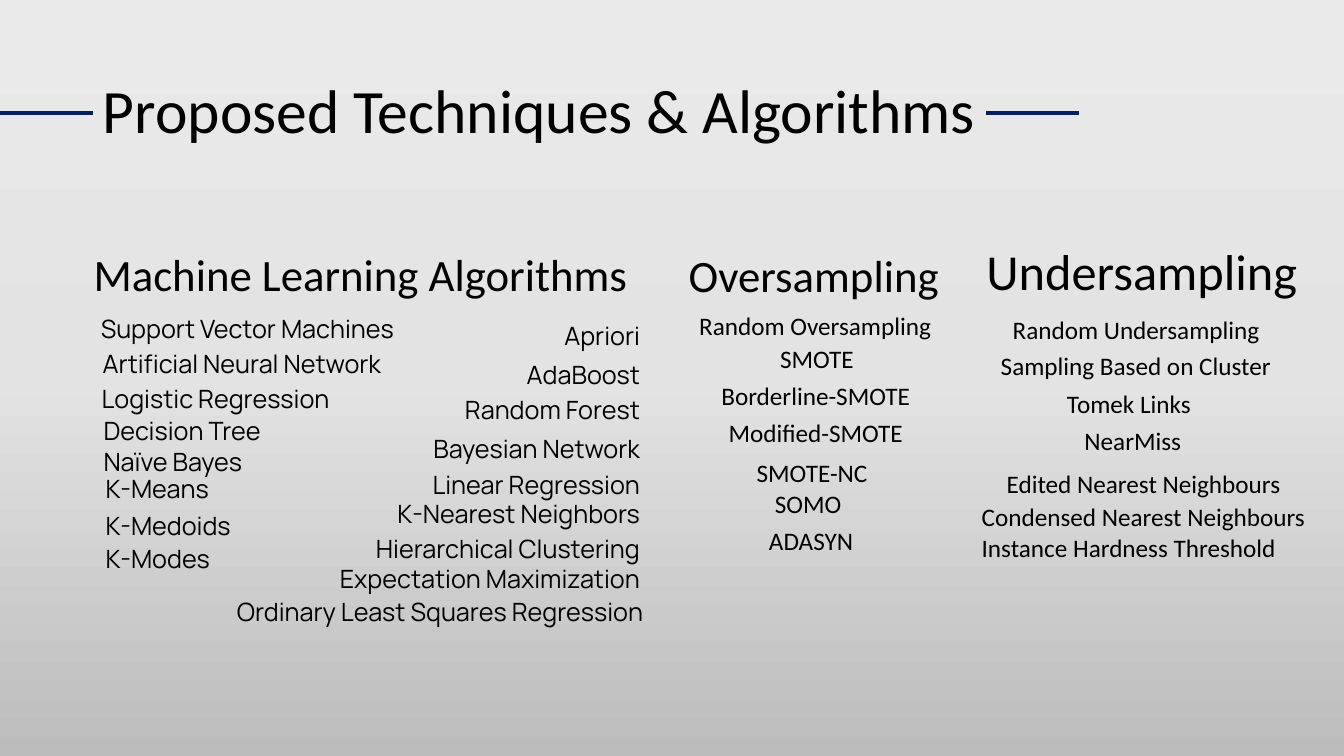
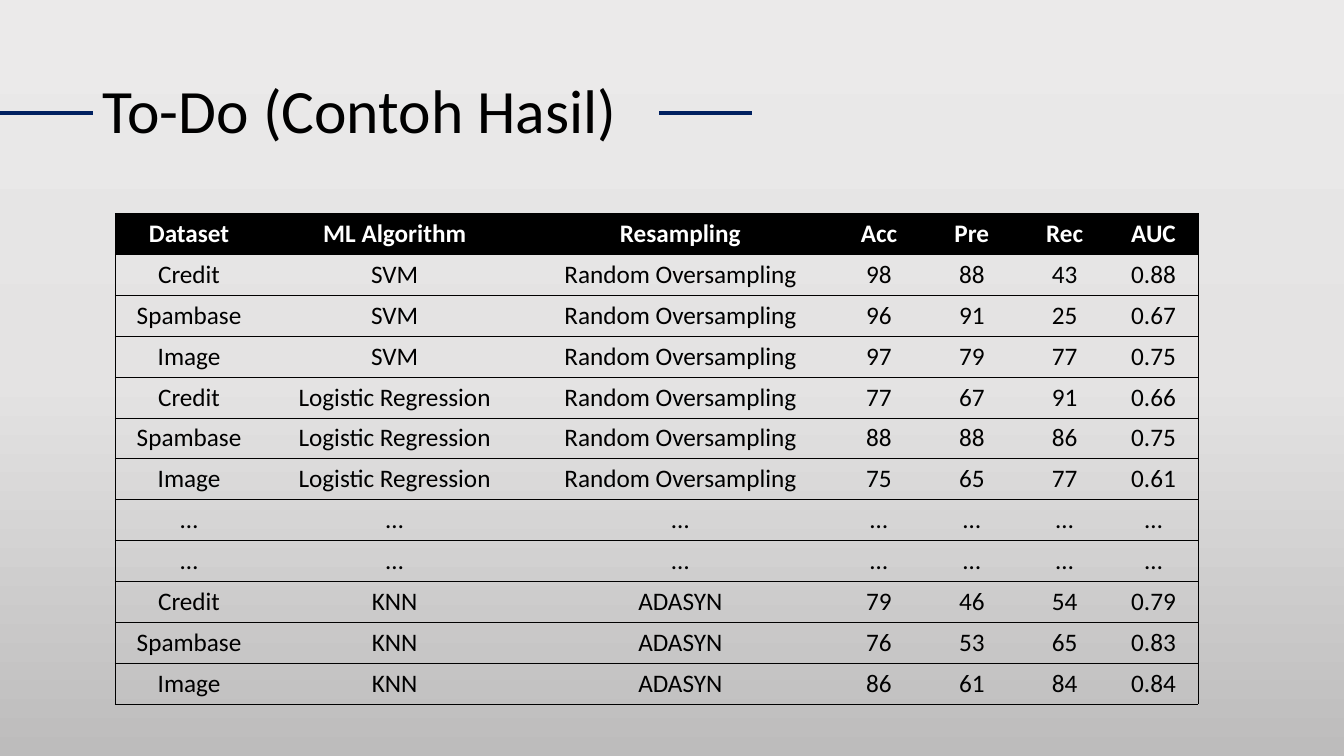
from copy import deepcopy
from dataclasses import dataclass

from lxml import etree
from pptx import Presentation
from pptx.dml.color import RGBColor
from pptx.enum.shapes import MSO_CONNECTOR
from pptx.enum.text import MSO_ANCHOR, MSO_AUTO_SIZE, PP_ALIGN
from pptx.oxml.ns import qn
from pptx.util import Cm, Pt

LEFT, CENTER, RIGHT = PP_ALIGN.LEFT, PP_ALIGN.CENTER, PP_ALIGN.RIGHT
MIDDLE = MSO_ANCHOR.MIDDLE
NO_FIT, GROW = MSO_AUTO_SIZE.NONE, MSO_AUTO_SIZE.SHAPE_TO_FIT_TEXT
STRAIGHT = MSO_CONNECTOR.STRAIGHT


@dataclass(frozen=True)
class Theme:
    text: str = "000000"
    header_text: str = "FFFFFF"
    header_fill: str = "000000"
    border: str = "000000"
    accent: str = "002060"
    background: tuple = ((0, "EBEAEA"), (0.5, "E4E3E3"), (1, "BDBCBC"))
    font: str = "Calibri"
    list_font: str = "Manrope"
    title_size: int = 44
    body_size: int = 18
    accent_width: float = 3
    border_width: float = 0.5


THEME = Theme()

# All lengths below are centimetres.
TITLE_LEFT, TITLE_TOP, TITLE_HEIGHT = 2.34, 1.02, 3.68
DASH_Y, DASH_LENGTH = 2.84, 2.34
ITEM_HEIGHT = 1.02

TECHNIQUES_TITLE = {"text": "Proposed Techniques & Algorithms", "width": 24.54, "dash": 24.84}
RESULTS_TITLE = {"text": "To-Do (Contoh Hasil)", "width": 14.6, "dash": 16.61}

# text, left, top, width, height, size, alignment
HEADINGS = [
    ("Machine Learning Algorithms", 2.03, 6.1, 14.12, 1.63, 32, CENTER),
    ("Oversampling", 17.07, 6.12, 6.88, 1.63, 32, CENTER),
    ("Undersampling", 24.61, 5.92, 8.43, 1.8, 36, LEFT),
]

# Each item: text, left, top, width
ITEM_GROUPS = [
    {"font": THEME.list_font, "align": LEFT, "wrap": True, "items": [
        ("Support Vector Machines", 2.29, 7.77, 11.68),
        ("Artificial Neural Network", 2.34, 8.66, 11.68),
        ("Logistic Regression", 2.31, 9.53, 11.68),
        ("Decision Tree", 2.36, 10.34, 11.68),
        ("Naïve Bayes", 2.36, 11.13, 11.68),
        ("K-Means", 2.41, 11.81, 11.68),
        ("K-Medoids", 2.41, 12.73, 11.68),
        ("K-Modes", 2.41, 13.56, 11.68),
    ]},
    {"font": THEME.list_font, "align": RIGHT, "wrap": True, "items": [
        ("Apriori", 4.7, 7.95, 11.68),
        ("AdaBoost", 4.7, 8.94, 11.68),
        ("Random Forest", 4.7, 9.8, 11.68),
        ("Bayesian Network", 4.7, 10.8, 11.68),
        ("Linear Regression", 4.7, 11.71, 11.68),
        ("K-Nearest Neighbors", 4.7, 12.42, 11.68),
        ("Hierarchical Clustering", 4.7, 13.31, 11.68),
        ("Expectation Maximization", 4.7, 14.07, 11.68),
        ("Ordinary Least Squares Regression", 1.7, 14.91, 14.76),
    ]},
    {"font": THEME.font, "align": LEFT, "wrap": False, "items": [
        ("Random Oversampling", 17.37, 7.7, 6.43),
        ("SMOTE", 19.41, 8.53, 2.39),
        ("Borderline-SMOTE", 17.93, 9.45, 5.31),
        ("Modified-SMOTE", 18.11, 10.39, 4.95),
        ("SMOTE-NC", 18.82, 11.4, 3.4),
        ("SOMO", 19.28, 12.19, 2.21),
        ("ADASYN", 19.13, 13.11, 2.64),
    ]},
    {"font": THEME.font, "align": LEFT, "wrap": False, "items": [
        ("Random Undersampling", 25.27, 7.8, 6.81),
        ("Sampling Based on Cluster", 24.97, 8.71, 7.39),
        ("Tomek Links", 26.64, 9.65, 3.66),
        ("NearMiss", 27.08, 10.59, 2.97),
        ("Edited Nearest Neighbours", 25.12, 11.68, 7.49),
        ("Condensed Nearest Neighbours", 24.49, 12.52, 8.76),
        ("Instance Hardness Threshold", 24.49, 13.28, 8.0),
    ]},
]

TABLE_LEFT, TABLE_TOP, ROW_HEIGHT = 2.9, 5.38, 1.03
COLUMNS = [("Dataset", 3.73), ("ML Algorithm", 6.63), ("Resampling", 7.77),
           ("Acc", 2.24), ("Pre", 2.44), ("Rec", 2.24), ("AUC", 2.24)]
ELLIPSIS_ROW = ("…",) * len(COLUMNS)
RESULTS = [
    ("Credit", "SVM", "Random Oversampling", "98", "88", "43", "0.88"),
    ("Spambase", "SVM", "Random Oversampling", "96", "91", "25", "0.67"),
    ("Image", "SVM", "Random Oversampling", "97", "79", "77", "0.75"),
    ("Credit", "Logistic Regression", "Random Oversampling", "77", "67", "91", "0.66"),
    ("Spambase", "Logistic Regression", "Random Oversampling", "88", "88", "86", "0.75"),
    ("Image", "Logistic Regression", "Random Oversampling", "75", "65", "77", "0.61"),
    ELLIPSIS_ROW,
    ELLIPSIS_ROW,
    ("Credit", "KNN", "ADASYN", "79", "46", "54", "0.79"),
    ("Spambase", "KNN", "ADASYN", "76", "53", "65", "0.83"),
    ("Image", "KNN", "ADASYN", "86", "61", "84", "0.84"),
]


def rgb(color):
    return RGBColor.from_string(color)


def set_text(tf, text, size, align, font=THEME.font, color=THEME.text, bold=False):
    tf.text = text
    p = tf.paragraphs[0]
    p.alignment = align
    f = p.runs[0].font
    f.name, f.size, f.bold = font, Pt(size), bold
    f.color.rgb = rgb(color)


def set_background(master):
    fill = master.background.fill
    fill.gradient()
    fill.gradient_angle = 270
    stop_list = master.element.find(".//" + qn("a:gsLst"))
    stop_list.append(deepcopy(stop_list[0]))
    for stop, (position, color) in zip(fill.gradient_stops, THEME.background):
        stop.position = position
        stop.color.rgb = rgb(color)


def add_dash(s, left):
    line = s.shapes.add_connector(STRAIGHT, Cm(left), Cm(DASH_Y),
                                  Cm(left + DASH_LENGTH), Cm(DASH_Y))
    line.line.color.rgb = rgb(THEME.accent)
    line.line.width = Pt(THEME.accent_width)
    etree.SubElement(line.element.spPr, qn("a:effectLst"))


def add_titled_slide(prs, title):
    """Add a slide whose title sits between two accent dashes."""
    s = prs.slides.add_slide(prs.slide_layouts[5])
    sp = s.shapes.title
    sp.left, sp.top = Cm(TITLE_LEFT), Cm(TITLE_TOP)
    sp.width, sp.height = Cm(title["width"]), Cm(TITLE_HEIGHT)
    tf = sp.text_frame
    set_text(tf, title["text"], THEME.title_size, LEFT)
    tf.auto_size, tf.vertical_anchor, tf.word_wrap = NO_FIT, MIDDLE, True
    tf.paragraphs[0].line_spacing = 0.9
    for left in (0, title["dash"]):
        add_dash(s, left)
    return s


def add_label(s, text, left, top, width, height, size, align, font=THEME.font, wrap=False):
    sp = s.shapes.add_textbox(Cm(left), Cm(top), Cm(width), Cm(height))
    tf = sp.text_frame
    tf.word_wrap, tf.auto_size = wrap, GROW
    set_text(tf, text, size, align, font)


def set_borders(cell, visible):
    """Draw the named sides (L, R, T, B) and clear the others."""
    tc_pr = cell._tc.get_or_add_tcPr()
    for side in "LRTB":
        ln = etree.SubElement(tc_pr, qn(f"a:ln{side}"), w=str(Pt(THEME.border_width)))
        if side in visible:
            fill = etree.SubElement(ln, qn("a:solidFill"))
            etree.SubElement(fill, qn("a:srgbClr"), val=THEME.border)
        else:
            etree.SubElement(ln, qn("a:noFill"))


def add_results_table(s):
    names, widths = zip(*COLUMNS)
    rows = [names, *RESULTS]
    table = s.shapes.add_table(len(rows), len(names), Cm(TABLE_LEFT), Cm(TABLE_TOP),
                               Cm(sum(widths)), Cm(ROW_HEIGHT * len(rows))).table
    table.horz_banding = False
    for column, width in zip(table.columns, widths):
        column.width = Cm(width)
    for i, values in enumerate(rows):
        table.rows[i].height = Cm(ROW_HEIGHT)
        header = i == 0
        for j, value in enumerate(values):
            cell = table.cell(i, j)
            outer = {0: "L", len(names) - 1: "R"}.get(j, "")
            set_borders(cell, "TB" + outer)
            if header:
                cell.fill.solid()
                cell.fill.fore_color.rgb = rgb(THEME.header_fill)
            else:
                cell.fill.background()
            set_text(cell.text_frame, value, THEME.body_size, CENTER, bold=header,
                     color=THEME.header_text if header else THEME.text)


def main():
    prs = Presentation()
    prs.slide_width, prs.slide_height = Cm(33.87), Cm(19.05)
    set_background(prs.slide_master)

    s = add_titled_slide(prs, TECHNIQUES_TITLE)
    for heading in HEADINGS:
        add_label(s, *heading)
    for group in ITEM_GROUPS:
        for item in group["items"]:
            add_label(s, *item, ITEM_HEIGHT, THEME.body_size,
                      group["align"], group["font"], group["wrap"])

    s = add_titled_slide(prs, RESULTS_TITLE)
    add_results_table(s)

    prs.save("out.pptx")


if __name__ == "__main__":
    main()
